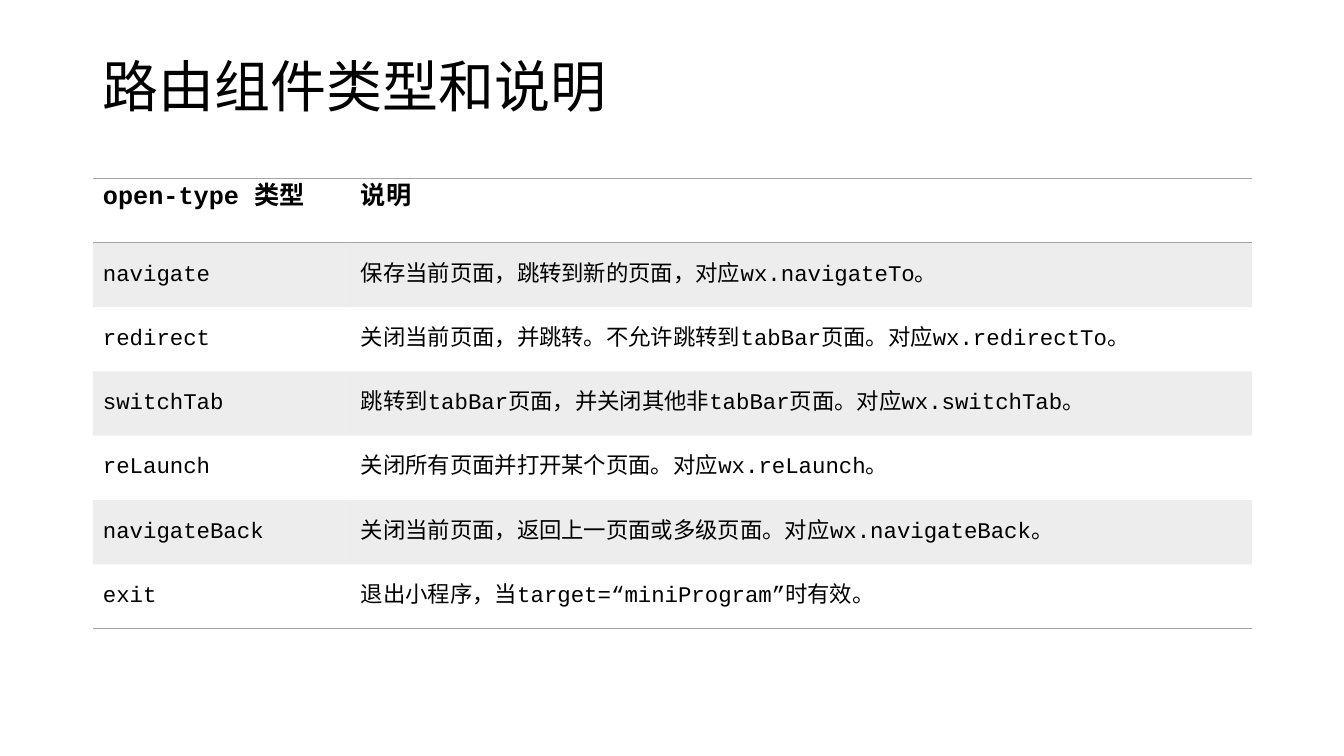
from lxml import etree
from pptx import Presentation
from pptx.dml.color import RGBColor
from pptx.enum.text import MSO_ANCHOR, MSO_AUTO_SIZE, PP_ALIGN
from pptx.oxml.ns import qn
from pptx.util import Cm, Pt

MIDDLE, TOP = MSO_ANCHOR.MIDDLE, MSO_ANCHOR.TOP
LEFT = PP_ALIGN.LEFT
NO_FIT = MSO_AUTO_SIZE.NONE

TITLE = "路由组件类型和说明"
ROWS = [
    ("open-type 类型", "说明"),
    ("navigate", "保存当前页面，跳转到新的页面，对应wx.navigateTo。"),
    ("redirect", "关闭当前页面，并跳转。不允许跳转到tabBar页面。对应wx.redirectTo。"),
    ("switchTab", "跳转到tabBar页面，并关闭其他非tabBar页面。对应wx.switchTab。"),
    ("reLaunch", "关闭所有页面并打开某个页面。对应wx.reLaunch。"),
    ("navigateBack", "关闭当前页面，返回上一页面或多级页面。对应wx.navigateBack。"),
    ("exit", "退出小程序，当target=“miniProgram”时有效。"),
]
BLACK, GRAY = "000000", "A5A5A5"
HEAD_FONT, CODE_FONT = "Noto Sans Mono", "Courier New"
PLAIN = "{2D5ABB26-0587-4C30-8999-92F81FD0307C}"
SIDE, WIDTH = Cm(2.34), Cm(29.21)
COLS = (Cm(6.5), Cm(22.71))
ROW_H = Cm(1.62)


def color(code):
    return RGBColor.from_string(code)


def write(para, text, face, size, bold=False):
    run = para.add_run()
    run.text = text
    font = run.font
    font.name, font.size, font.bold = face, Pt(size), bold
    font.color.rgb = color(BLACK)
    etree.SubElement(run._r.get_or_add_rPr(), qn("a:ea"), typeface=face)
    para.alignment = LEFT


def rule(cell, side):
    line = etree.SubElement(cell._tc.get_or_add_tcPr(), qn("a:" + side), w=str(Pt(1)))
    fill = etree.SubElement(line, qn("a:solidFill"))
    etree.SubElement(fill, qn("a:srgbClr"), val=GRAY)


def shade(cell):
    cell.fill.solid()
    cell.fill.fore_color.rgb = color(GRAY)
    tint = cell._tc.tcPr.find(".//" + qn("a:solidFill") + "/" + qn("a:srgbClr"))
    etree.SubElement(tint, qn("a:alpha"), val="20000")


def add_title(slide):
    title = slide.shapes.title
    title.left, title.top, title.width, title.height = SIDE, Cm(1.02), WIDTH, Cm(2.44)
    frame = title.text_frame
    frame.auto_size, frame.vertical_anchor = NO_FIT, MIDDLE
    para = frame.paragraphs[0]
    para.line_spacing = 0.9
    write(para, TITLE, HEAD_FONT, 40)


def add_grid(slide):
    count = len(ROWS)
    frame = slide.shapes.add_table(count, len(COLS), SIDE, Cm(4.5), WIDTH, ROW_H * count)
    table = frame.table
    table.first_row = table.horz_banding = False
    table._tbl.tblPr.find(qn("a:tableStyleId")).text = PLAIN
    for col, width in zip(table.columns, COLS):
        col.width = width
    for i, texts in enumerate(ROWS):
        table.rows[i].height = ROW_H
        head = i == 0
        for j, text in enumerate(texts):
            cell = table.cell(i, j)
            cell.vertical_anchor = TOP if head else MIDDLE
            write(cell.text_frame.paragraphs[0], text, CODE_FONT, 18 if head else 16, head)
            if head:
                rule(cell, "lnT")
            if head or i == count - 1:
                rule(cell, "lnB")
            if i % 2:
                shade(cell)
            else:
                cell.fill.background()


def main():
    deck = Presentation()
    deck.slide_width, deck.slide_height = Cm(33.87), Cm(19.05)
    slide = deck.slides.add_slide(deck.slide_layouts[5])
    add_title(slide)
    add_grid(slide)
    deck.save("out.pptx")


if __name__ == "__main__":
    main()
